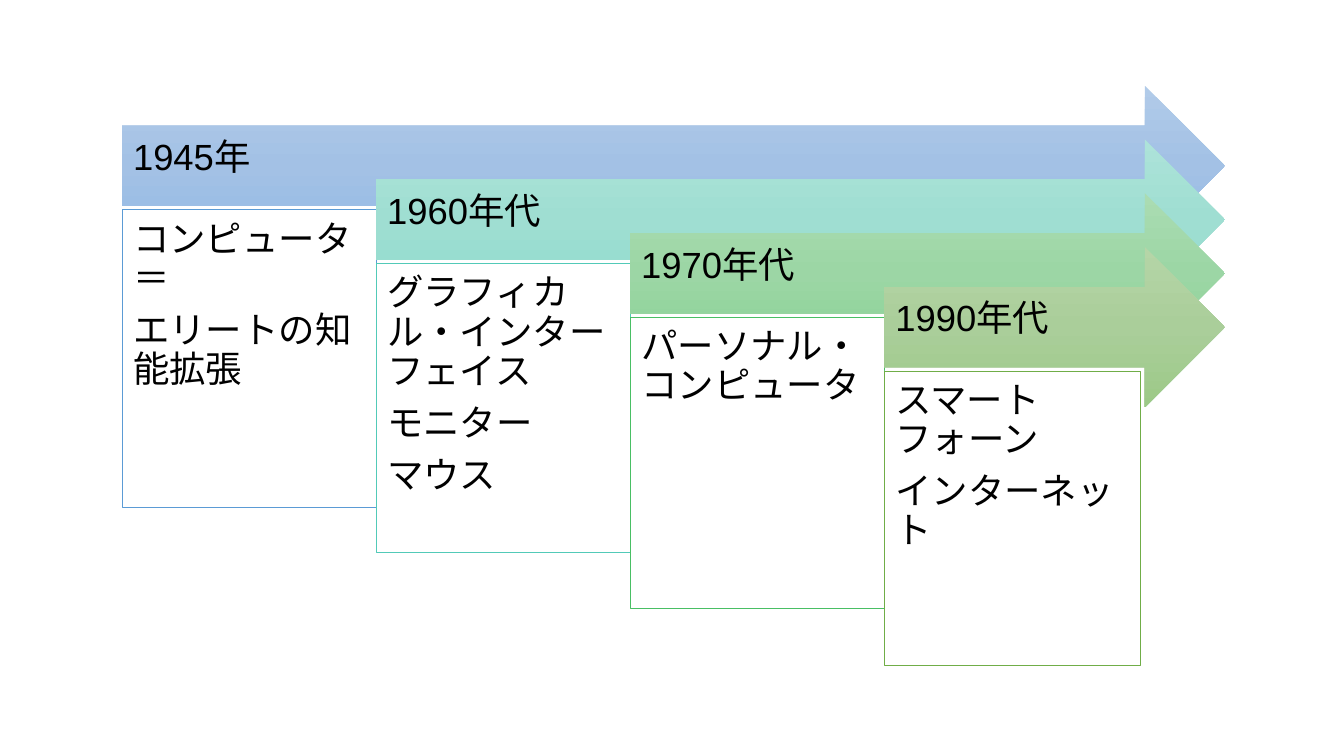
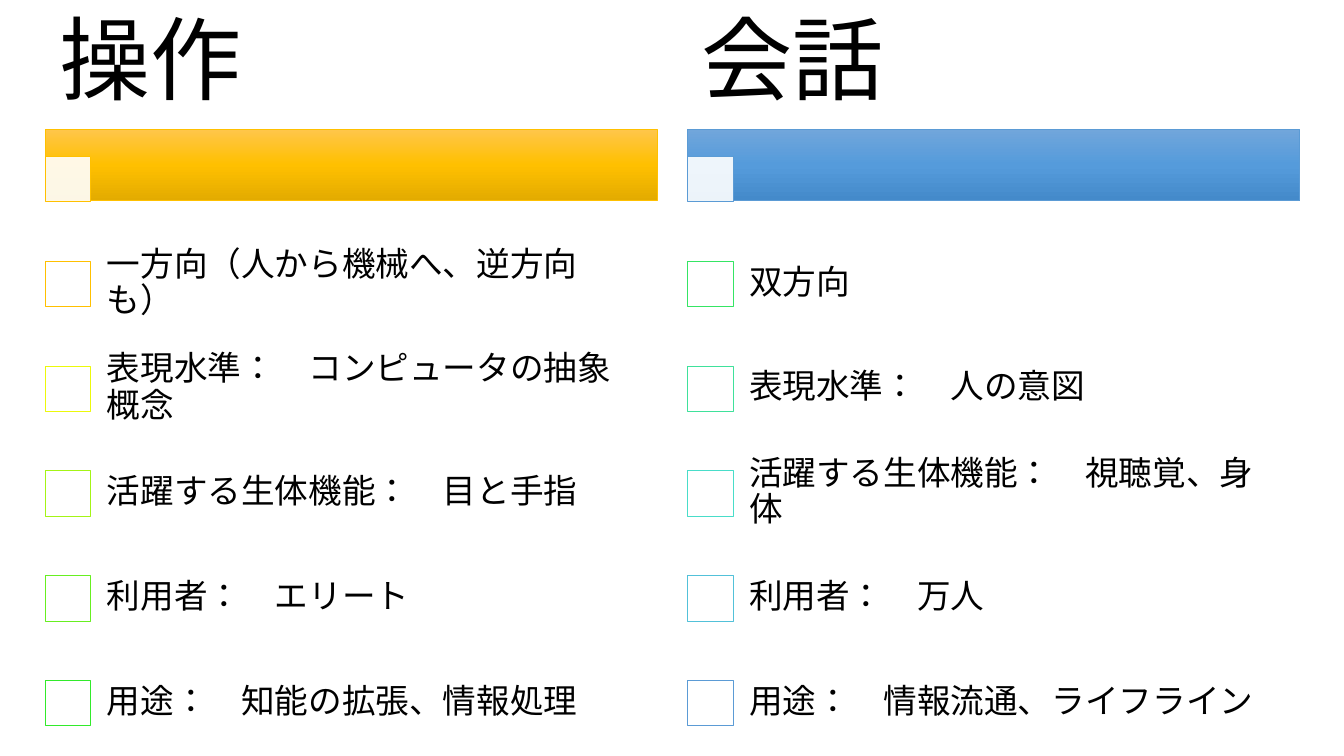
from pptx import Presentation
from pptx.dml.color import RGBColor
from pptx.enum.lang import MSO_LANGUAGE_ID as Lang
from pptx.enum.shapes import MSO_SHAPE as Kind
from pptx.enum.text import MSO_ANCHOR as Anchor, PP_ALIGN as Align
from pptx.oxml.ns import qn
from pptx.util import Inches, Pt
from lxml.etree import SubElement


def color(code):
    return RGBColor.from_string(code)


class Deck:
    ink, paper = "000000", "FFFFFF"
    edge, lead = 0.5, 0.9

    def __init__(self):
        self.prs = Presentation()
        self.prs.slide_width = Inches(13.33)
        self.prs.slide_height = Inches(7.5)

    def page(self):
        self.slide = self.prs.slides.add_slide(self.prs.slide_layouts[6])

    def shape(self, kind, box, line=None):
        item = self.slide.shapes.add_shape(kind, *map(Inches, box))
        item.shadow.inherit = False
        if line:
            item.line.color.rgb = color(line)
            item.line.width = Pt(self.edge)
        else:
            item.line.fill.background()
        return item

    def square(self, box, line, alpha=100):
        item = self.shape(Kind.RECTANGLE, box, line)
        item.fill.solid()
        item.fill.fore_color.rgb = color(self.paper)
        if alpha < 100:
            fill = item._element.spPr.find(qn("a:solidFill"))
            SubElement(fill[0], qn("a:alpha"), val=str(alpha * 1000))
        return item

    def blend(self, kind, box, tones, line=None):
        """Shape filled with an even top-to-bottom gradient."""
        item = self.shape(kind, box, line)
        item.fill.gradient()
        item.fill.gradient_angle = 270
        stops = item._element.spPr.find(".//" + qn("a:gsLst"))
        for old in list(stops):
            stops.remove(old)
        for i, tone in enumerate(tones):
            pos = 100000 * i // (len(tones) - 1)
            stop = SubElement(stops, qn("a:gs"), pos=str(pos))
            SubElement(stop, qn("a:srgbClr"), val=tone)

    def fill_text(self, item, paras, font, size, inset, anchor=Anchor.MIDDLE):
        frame = item.text_frame
        frame.word_wrap = True
        frame.vertical_anchor = anchor
        (frame.margin_left, frame.margin_top,
         frame.margin_right, frame.margin_bottom) = map(Inches, inset)
        for i, text in enumerate(paras):
            para = frame.add_paragraph() if i else frame.paragraphs[0]
            para.alignment = Align.LEFT
            para.line_spacing = self.lead
            if i:
                para.space_before = Pt(9)
            run = para.add_run()
            run.text = text
            run.font.name = font
            run.font.size = Pt(size)
            run.font.color.rgb = color(self.ink)
            run.font.language_id = Lang.JAPANESE
            SubElement(run._r.get_or_add_rPr(), qn("a:ea"), typeface=font)

    def label(self, box, text, font, size, inset):
        item = self.slide.shapes.add_textbox(*map(Inches, box))
        self.fill_text(item, [text], font, size, inset)


# Date, arrow tones, card line, card size, card text
ERAS = [
    ("1945年", ("B1CBE9", "A3C1E5", "93B9E4"), "5B9BD5", (2.52, 2.95),
     ["コンピュータ＝", "エリートの知能拡張"]),
    ("1960年代", ("ADE3D9", "9FDED2", "8EDCCE"), "52CAB8", (2.52, 2.87),
     ["グラフィカル・インターフェイス", "モニター", "マウス"]),
    ("1970年代", ("AADCB2", "9CD6A5", "8AD396"), "49BF64", (2.52, 2.89),
     ["パーソナル・コンピュータ"]),
    ("1990年代", ("B5D5A7", "AACE9A", "9CC987"), "70AD47", (2.54, 2.92),
     ["スマートフォーン", "インターネット"]),
]

# Title, band tones, band line, rows of box line and text
SIDES = [
    ("操作", ("FFC64B", "FFC000", "E3AB00"), "FFC000", [
        ("FFC000", "一方向（人から機械へ、逆方向も）"),
        ("ECF90B", "表現水準：　コンピュータの抽象概念"),
        ("A4F416", "活躍する生体機能：　目と手指"),
        ("67EF21", "利用者：　エリート"),
        ("32EA2B", "用途：　知能の拡張、情報処理")]),
    ("会話", ("71A6DB", "559BDB", "448ACA"), "5B9BD5", [
        ("35E564", "双方向"),
        ("3FE19B", "表現水準：　人の意図"),
        ("49DDC9", "活躍する生体機能：　視聴覚、身体"),
        ("52C1D9", "利用者：　万人"),
        ("5B9BD5", "用途：　情報流通、ライフライン")]),
]


def history(deck):
    deck.page()
    font, size, right, tall = "Arial", 26, 12.15, 1.59
    for i, (date, tones, line, card, paras) in enumerate(ERAS):
        x, y = 1.21 + 2.52 * i, 0.85 + 1.6 * i / 3
        # Arrow and its date
        deck.blend(Kind.RIGHT_ARROW, (x, y, right - x, tall), tones)
        deck.label((x, y + tall / 4, right - x - tall / 4, tall / 2),
                   date, font, size, (0.11, 0.11, 0.28, 0.25))
        # Card below
        item = deck.square((x, y + 1.23, *card), line)
        deck.fill_text(item, paras, font, size, (0.11,) * 4, Anchor.TOP)


def contrast(deck):
    deck.page()
    font, wide, box, step = "Noto Sans CJK JP", 6.07, 0.45, 1.04
    for i, (title, tones, line, rows) in enumerate(SIDES):
        x = 0.45 + 6.37 * i
        # Band and title
        deck.blend(Kind.RECTANGLE, (x, 1.28, wide, 0.71), tones, line)
        deck.square((x, 1.55, box, box), line, 90)
        deck.label((x, 0, wide, 1.28), title, font, 65,
                   (0.14, 0.09, 0.14, 0.09))
        # Rows
        for j, (tint, text) in enumerate(rows):
            y = 2.29 + step * j
            deck.square((x, y + 0.3, box, box), tint)
            deck.label((x + 0.42, y, 5.64, step), text, font, 24, (0.19,) * 4)


def main():
    deck = Deck()
    history(deck)
    contrast(deck)
    deck.prs.save("out.pptx")


if __name__ == "__main__":
    main()
